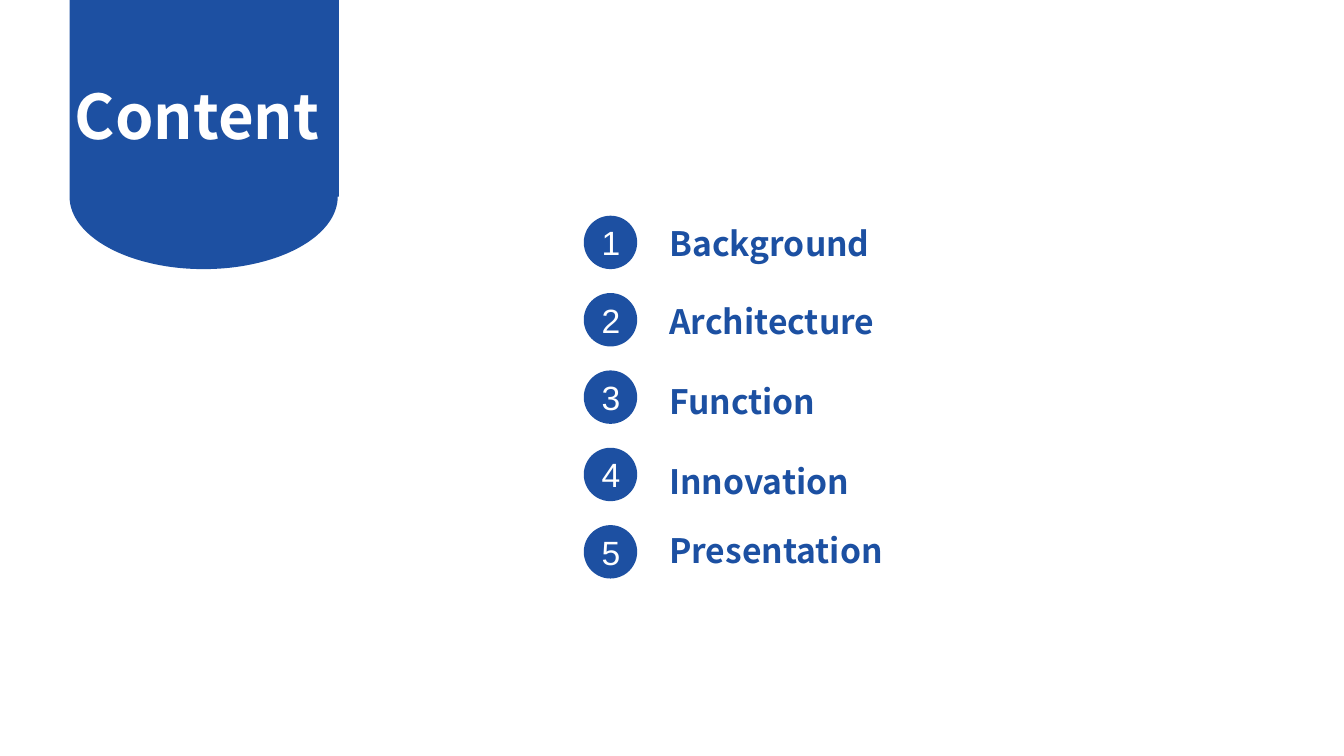
from dataclasses import dataclass
from math import cos, pi, sin

from pptx import Presentation
from pptx.dml.color import RGBColor
from pptx.enum.shapes import MSO_SHAPE as Preset
from pptx.enum.text import MSO_ANCHOR as Anchor, MSO_AUTO_SIZE as AutoSize, PP_ALIGN as Align
from pptx.shapes.autoshape import Shape
from pptx.shapes.shapetree import SlideShapes
from pptx.text.text import TextFrame
from pptx.util import Emu, Pt

EMU_PER_PX = 9144


@dataclass(frozen=True)
class Theme:
    banner: RGBColor = RGBColor(0x1D, 0x50, 0xA2)
    topic: RGBColor = RGBColor(0x1C, 0x50, 0xA2)
    light: RGBColor = RGBColor(0xFF, 0xFF, 0xFF)
    heading_font: str = "Noto Sans CJK SC"
    number_font: str = "Arial"
    title_size: int = 44
    topic_size: int = 24


@dataclass(frozen=True)
class Box:
    left: int
    top: int
    width: int
    height: int

    def emu(self) -> tuple[Emu, Emu, Emu, Emu]:
        return px(self.left), px(self.top), px(self.width), px(self.height)


@dataclass(frozen=True)
class Topic:
    title: str
    top: int
    width: int


THEME = Theme()
TOPICS = (
    Topic("Background", 216, 301),
    Topic("Architecture", 294, 281),
    Topic("Function", 373, 367),
    Topic("Innovation", 452, 284),
    Topic("Presentation", 521, 360),
)
BADGE_LEFT, BADGE_SIZE = 579, 53
FIRST_BADGE_TOP, LAST_BADGE_TOP = 214, 521
TOPIC_LEFT, TOPIC_HEIGHT = 654, 50


def px(length: float) -> Emu:
    return Emu(round(length * EMU_PER_PX))


def paint(shape: Shape, color: RGBColor) -> None:
    shape.fill.solid()
    shape.fill.fore_color.rgb = color
    shape.line.fill.background()
    shape.shadow.inherit = False


def write(frame: TextFrame, text: str, size: int, color: RGBColor,
          font: str, bold: bool, align: Align) -> None:
    paragraph = frame.paragraphs[0]
    paragraph.alignment = align
    run = paragraph.add_run()
    run.text = text
    run.font.size = Pt(size)
    run.font.name = font
    run.font.bold = bold
    run.font.color.rgb = color


def add_heading(shapes: SlideShapes, box: Box, text: str, size: int,
                color: RGBColor, align: Align) -> TextFrame:
    frame = shapes.add_textbox(*box.emu()).text_frame
    frame.word_wrap = True
    frame.auto_size = AutoSize.SHAPE_TO_FIT_TEXT
    write(frame, text, size, color, THEME.heading_font, True, align)
    return frame


def add_banner(shapes: SlideShapes) -> None:
    left, right, top, shoulder = 69, 336, -2, 195
    center, radius, depth, steps = 202, 133, 72, 90
    arc = [
        (px(center + radius * cos(pi * step / steps)),
         px(shoulder + depth * sin(pi * step / steps)))
        for step in range(steps + 1)
    ]
    outline = shapes.build_freeform(px(left), px(top))
    outline.add_line_segments([(px(right), px(top)), (px(right), px(shoulder)), *arc])
    paint(outline.convert_to_shape(), THEME.banner)


def add_badge(shapes: SlideShapes, number: int, top: float) -> None:
    badge = shapes.add_shape(Preset.OVAL, px(BADGE_LEFT), px(top), px(BADGE_SIZE), px(BADGE_SIZE))
    paint(badge, THEME.banner)
    badge.text_frame.vertical_anchor = Anchor.MIDDLE
    write(badge.text_frame, str(number), THEME.topic_size, THEME.light,
          THEME.number_font, False, Align.CENTER)


def main() -> None:
    deck = Presentation()
    deck.slide_width, deck.slide_height = px(1333), px(750)
    shapes = deck.slides.add_slide(deck.slide_layouts[6]).shapes

    add_banner(shapes)
    title = add_heading(shapes, Box(47, 58, 311, 99), "Content ",
                        THEME.title_size, THEME.light, Align.CENTER)
    title.paragraphs[0].line_spacing = 1.2

    badge_pitch = (LAST_BADGE_TOP - FIRST_BADGE_TOP) / (len(TOPICS) - 1)
    for index, topic in enumerate(TOPICS):
        add_badge(shapes, index + 1, FIRST_BADGE_TOP + index * badge_pitch)
        add_heading(shapes, Box(TOPIC_LEFT, topic.top, topic.width, TOPIC_HEIGHT),
                    topic.title, THEME.topic_size, THEME.topic, Align.LEFT)

    deck.save("out.pptx")


if __name__ == "__main__":
    main()
